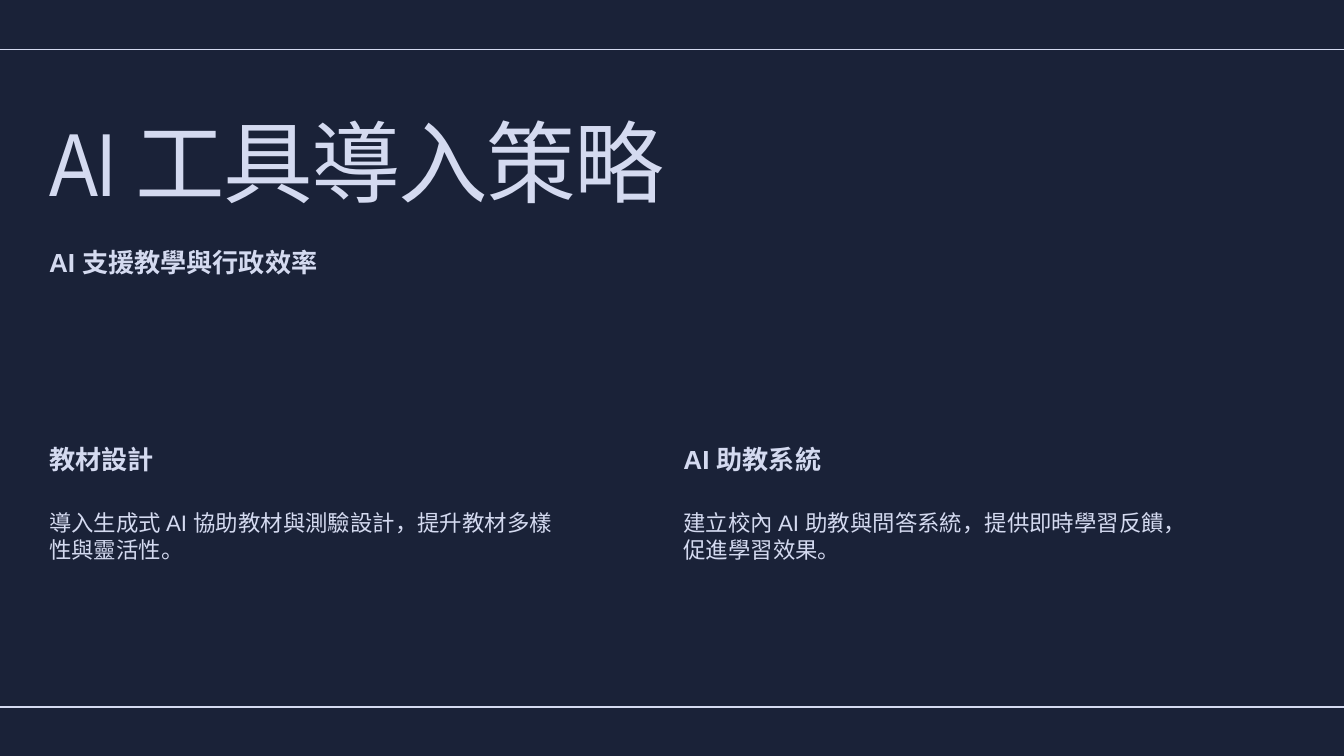
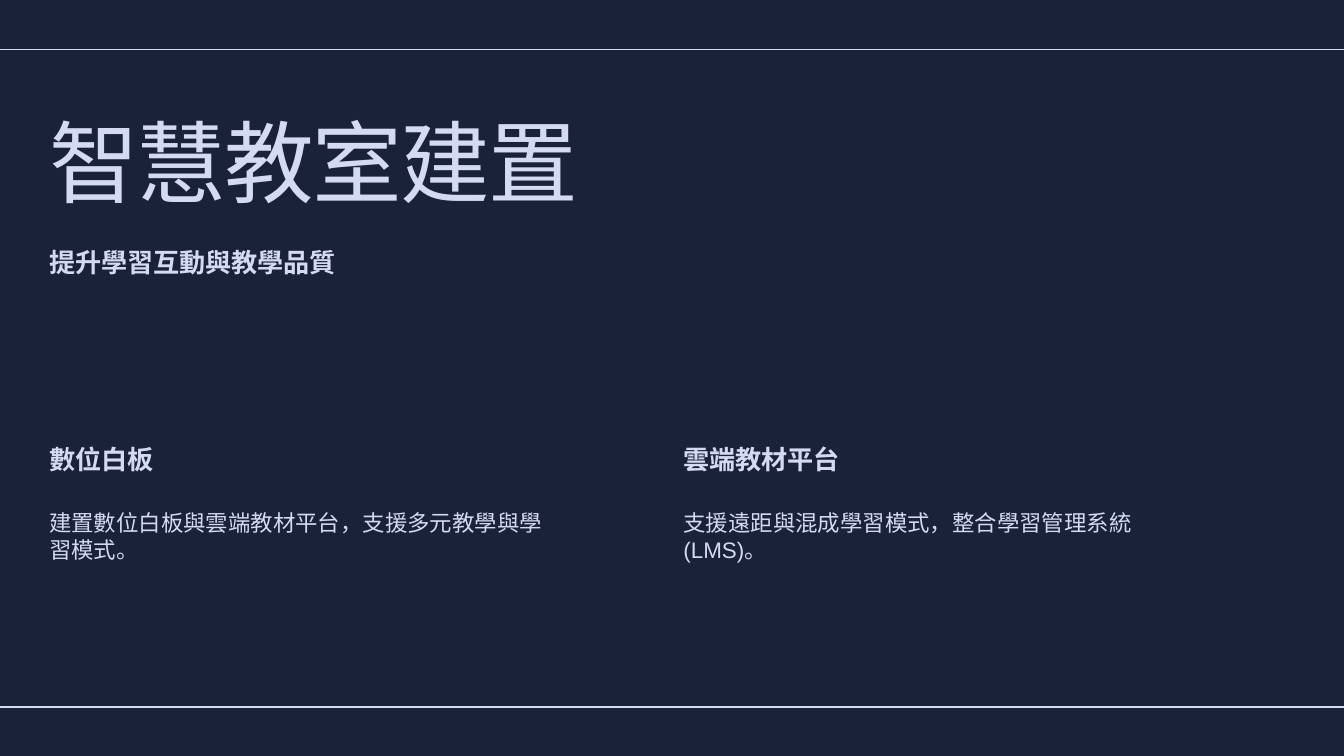
"""Build two dark slides, each with a title, a subtitle and two topic columns."""
from dataclasses import dataclass

from lxml import etree
from pptx import Presentation, util as u
from pptx.dml.color import RGBColor
from pptx.enum import shapes, text
from pptx.oxml import ns

PX = u.Inches(1) // 100
WIDTH, HEIGHT = 2000, 1125
MARGIN = 73
RULE_INSET = 74
COLUMN_WIDTH, COLUMN_STEP = 753, 944
NAVY, LAVENDER = "1A2238", "D4DAF0"
COMPARISON_LAYOUT = 4


@dataclass(frozen=True)
class Style:
    """Give the look and vertical place of one kind of text."""
    top: int
    height: int
    size: int
    leading: float
    font: str = "Arial"
    bold: bool = False
    tracking: int = 0


@dataclass(frozen=True)
class Topic:
    """Hold the heading and description of one column."""
    heading: str
    description: str


@dataclass(frozen=True)
class Page:
    """Hold the wording of one slide."""
    title: str
    subtitle: str
    topics: tuple[Topic, ...]


TITLE = Style(186, 145, 96, 96, font="Arial Narrow", tracking=-190)
SUBTITLE = Style(367, 46, 28, 33.6, bold=True)
HEADING = Style(660, 46, 28, 33.6, bold=True)
DESCRIPTION = Style(758, 79, 24, 28.8)

PAGES = (
    Page("AI 工具導入策略", "AI 支援教學與行政效率", (
        Topic("教材設計", "導入生成式 AI 協助教材與測驗設計，提升教材多樣性與靈活性。"),
        Topic("AI 助教系統", "建立校內 AI 助教與問答系統，提供即時學習反饋，促進學習效果。"),
    )),
    Page("智慧教室建置", "提升學習互動與教學品質", (
        Topic("數位白板", "建置數位白板與雲端教材平台，支援多元教學與學習模式。"),
        Topic("雲端教材平台", "支援遠距與混成學習模式，整合學習管理系統 (LMS)。"),
    )),
)


def px(length: int) -> u.Emu:
    """Turn px into EMU."""
    return u.Emu(length * PX)


def color(value: str) -> RGBColor:
    """Turn a hex string into a colour."""
    return RGBColor.from_string(value)


def write(sp, words: str, style: Style, left: int, width: int) -> None:
    """Place a text shape and fill it with one styled run."""
    sp.left, sp.top = px(left), px(style.top)
    sp.width, sp.height = px(width), px(style.height)
    tf = sp.text_frame
    tf.margin_left = tf.margin_top = tf.margin_right = tf.margin_bottom = 0
    tf.word_wrap = True
    tf.auto_size = text.MSO_AUTO_SIZE.SHAPE_TO_FIT_TEXT
    tf.vertical_anchor = text.MSO_ANCHOR.TOP
    p = tf.paragraphs[0]
    p_pr = p._p.get_or_add_pPr()
    p_pr.set("marL", "0")
    p_pr.set("indent", "0")
    etree.SubElement(p_pr, ns.qn("a:buNone"))
    p.alignment = text.PP_ALIGN.LEFT
    p.space_before = p.space_after = u.Pt(0)
    p.line_spacing = u.Pt(style.leading)
    r = p.add_run()
    r.text = words
    r.font.name = style.font
    r.font.size = u.Pt(style.size)
    r.font.bold = style.bold
    r.font.color.rgb = color(LAVENDER)
    if style.tracking:
        r._r.get_or_add_rPr().set("spc", str(style.tracking))


def add_rule(s, y: int) -> None:
    """Draw a thin line across the whole slide."""
    rule = s.shapes.add_connector(
        shapes.MSO_CONNECTOR.STRAIGHT, 0, px(y), px(WIDTH), px(y))
    rule.line.color.rgb = color(LAVENDER)
    rule.line.width = u.Pt(1.5)
    etree.SubElement(rule._element.spPr, ns.qn("a:effectLst"))


def add_page(prs, page: Page) -> None:
    """Add one slide with its title block, columns and rules."""
    s = prs.slides.add_slide(prs.slide_layouts[COMPARISON_LAYOUT])
    full_width = WIDTH - 2 * MARGIN
    title, *bodies = s.placeholders
    write(title, page.title, TITLE, MARGIN, full_width)
    subtitle = s.shapes.add_textbox(0, 0, 0, 0)
    write(subtitle, page.subtitle, SUBTITLE, MARGIN, full_width)
    for i, topic in enumerate(page.topics):
        left = MARGIN + i * COLUMN_STEP
        heading, description = bodies[2 * i:2 * i + 2]
        write(heading, topic.heading, HEADING, left, COLUMN_WIDTH)
        write(description, topic.description, DESCRIPTION, left, COLUMN_WIDTH)
    for y in (RULE_INSET, HEIGHT - RULE_INSET + 1):
        add_rule(s, y)


def main() -> None:
    """Build and save the presentation."""
    prs = Presentation()
    prs.slide_width, prs.slide_height = px(WIDTH), px(HEIGHT)
    fill = prs.slide_master.background.fill
    fill.solid()
    fill.fore_color.rgb = color(NAVY)
    for page in PAGES:
        add_page(prs, page)
    prs.save("out.pptx")


if __name__ == "__main__":
    main()
